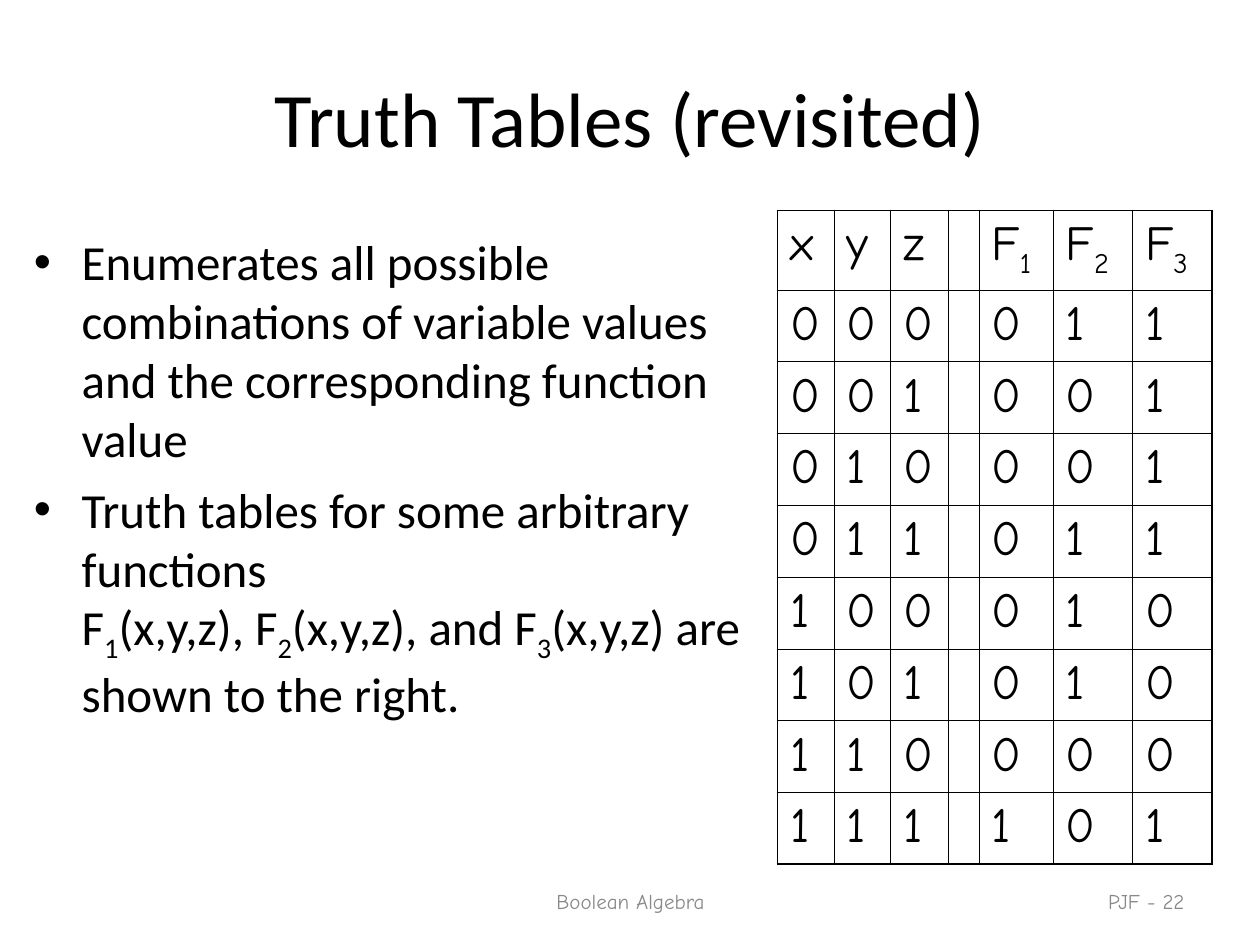
from dataclasses import dataclass

from lxml.etree import SubElement
from pptx import Presentation
from pptx.dml.color import RGBColor
from pptx.enum.text import MSO_ANCHOR, PP_ALIGN
from pptx.oxml.ns import qn
from pptx.util import Inches, Pt

BLACK = RGBColor(0x00, 0x00, 0x00)
GRAY = RGBColor(0x89, 0x89, 0x89)

TITLE_FONT = {"name": "Calibri", "size": Pt(44)}
BODY_FONT = {"name": "Calibri", "size": Pt(28)}
TABLE_FONT = {"name": "Comic Neue", "size": Pt(28)}
FOOTER_FONT = {"name": "Comic Neue", "size": Pt(12)}

THIN, THICK = Pt(0.45), Pt(1.08)
COLUMN_WIDTHS = (0.45, 0.45, 0.46, 0.24, 0.59, 0.63, 0.63)
HEADER_HEIGHT, ROW_HEIGHT = 0.63, 0.57

HEADER = ("x", "y", "z", "", "F_1", "F_2", "F_3")
FUNCTION_VALUES = ("011", "001", "001", "011", "010", "010", "000", "101")

BULLETS = (
    "Enumerates all possible combinations of variable values "
    "and the corresponding function value",
    "Truth tables for some arbitrary functions\n"
    "F_1(x,y,z), F_2(x,y,z), and F_3(x,y,z) are shown to the right.",
)


@dataclass(frozen=True)
class Box:
    left: float
    top: float
    width: float
    height: float

    def lengths(self) -> tuple:
        return tuple(map(Inches, (self.left, self.top, self.width, self.height)))


@dataclass(frozen=True)
class FooterItem:
    text: str
    box: Box
    align: PP_ALIGN


TITLE_BOX = Box(0.5, 0.3, 9, 1.25)
BODY_BOX = Box(0.17, 1.79, 6, 4.87)
FOOTER_ITEMS = (
    FooterItem("Boolean Algebra", Box(3.42, 6.95, 3.17, 0.4), PP_ALIGN.CENTER),
    FooterItem("PJF - 22", Box(7.17, 6.95, 2.33, 0.4), PP_ALIGN.RIGHT),
)


def add_run(p, text: str, font: dict, color: RGBColor, subscript: bool = False) -> None:
    r = p.add_run()
    r.text = text
    for name, value in font.items():
        setattr(r.font, name, value)
    r.font.color.rgb = color
    if subscript:
        r.font._element.set("baseline", "-25000")


def write(p, text: str, font: dict, color: RGBColor = BLACK) -> None:
    """Write text; a character after "_" is a subscript, "\\n" breaks the line."""
    for line_no, line in enumerate(text.split("\n")):
        if line_no:
            p.add_line_break()
        plain, *marked = line.split("_")
        if plain:
            add_run(p, plain, font, color)
        for part in marked:
            add_run(p, part[0], font, color, subscript=True)
            if part[1:]:
                add_run(p, part[1:], font, color)


def add_text_box(s, box: Box, anchor: MSO_ANCHOR):
    tf = s.shapes.add_textbox(*box.lengths()).text_frame
    tf.word_wrap = True
    tf.vertical_anchor = anchor
    return tf


def add_title(s, text: str) -> None:
    title = s.shapes.title
    title.left, title.top, title.width, title.height = TITLE_BOX.lengths()
    tf = title.text_frame
    tf.vertical_anchor = MSO_ANCHOR.MIDDLE
    p = tf.paragraphs[0]
    p.alignment = PP_ALIGN.CENTER
    write(p, text, TITLE_FONT)


def add_bullets(s) -> None:
    tf = add_text_box(s, BODY_BOX, MSO_ANCHOR.TOP)
    for i, text in enumerate(BULLETS):
        p = tf.add_paragraph() if i else tf.paragraphs[0]
        pPr = p._p.get_or_add_pPr()
        pPr.set("marL", str(Inches(0.38)))
        pPr.set("indent", str(-Inches(0.38)))
        SubElement(pPr, qn("a:buFont"), typeface="Arial")
        SubElement(pPr, qn("a:buChar"), char="•")
        if i:
            p.space_before = Pt(7)
        write(p, text, BODY_FONT)


def set_borders(cell, widths: dict) -> None:
    tcPr = cell._tc.get_or_add_tcPr()
    for side, width in widths.items():
        ln = SubElement(tcPr, qn(f"a:ln{side}"), w=str(width))
        fill = SubElement(ln, qn("a:solidFill"))
        SubElement(fill, qn("a:srgbClr"), val=str(BLACK))


def add_truth_table(s) -> None:
    rows = [HEADER] + [
        (*f"{n:03b}", "", *values) for n, values in enumerate(FUNCTION_VALUES)
    ]
    last_row, last_col = len(rows) - 1, len(HEADER) - 1
    box = Box(6.17, 1.67, sum(COLUMN_WIDTHS), HEADER_HEIGHT + last_row * ROW_HEIGHT)
    table = s.shapes.add_table(len(rows), len(HEADER), *box.lengths()).table
    table.first_row = table.horz_banding = False
    for column, width in zip(table.columns, COLUMN_WIDTHS):
        column.width = Inches(width)
    for i, texts in enumerate(rows):
        table.rows[i].height = Inches(ROW_HEIGHT if i else HEADER_HEIGHT)
        for j, text in enumerate(texts):
            cell = table.cell(i, j)
            set_borders(cell, {
                "L": THICK if j == 0 else THIN,
                "R": THICK if j == last_col else THIN,
                "T": THICK if i == 0 else THIN,
                "B": THICK if i == last_row else THIN,
            })
            cell.fill.background()
            write(cell.text_frame.paragraphs[0], text, TABLE_FONT)


def add_footer(s, item: FooterItem) -> None:
    p = add_text_box(s, item.box, MSO_ANCHOR.MIDDLE).paragraphs[0]
    p.alignment = item.align
    write(p, item.text, FOOTER_FONT, GRAY)


def main() -> None:
    prs = Presentation()
    prs.slide_width, prs.slide_height = Inches(10), Inches(7.5)
    s = prs.slides.add_slide(prs.slide_layouts[5])
    add_title(s, "Truth Tables (revisited)")
    add_bullets(s)
    for item in FOOTER_ITEMS:
        add_footer(s, item)
    add_truth_table(s)
    prs.save("out.pptx")


if __name__ == "__main__":
    main()
